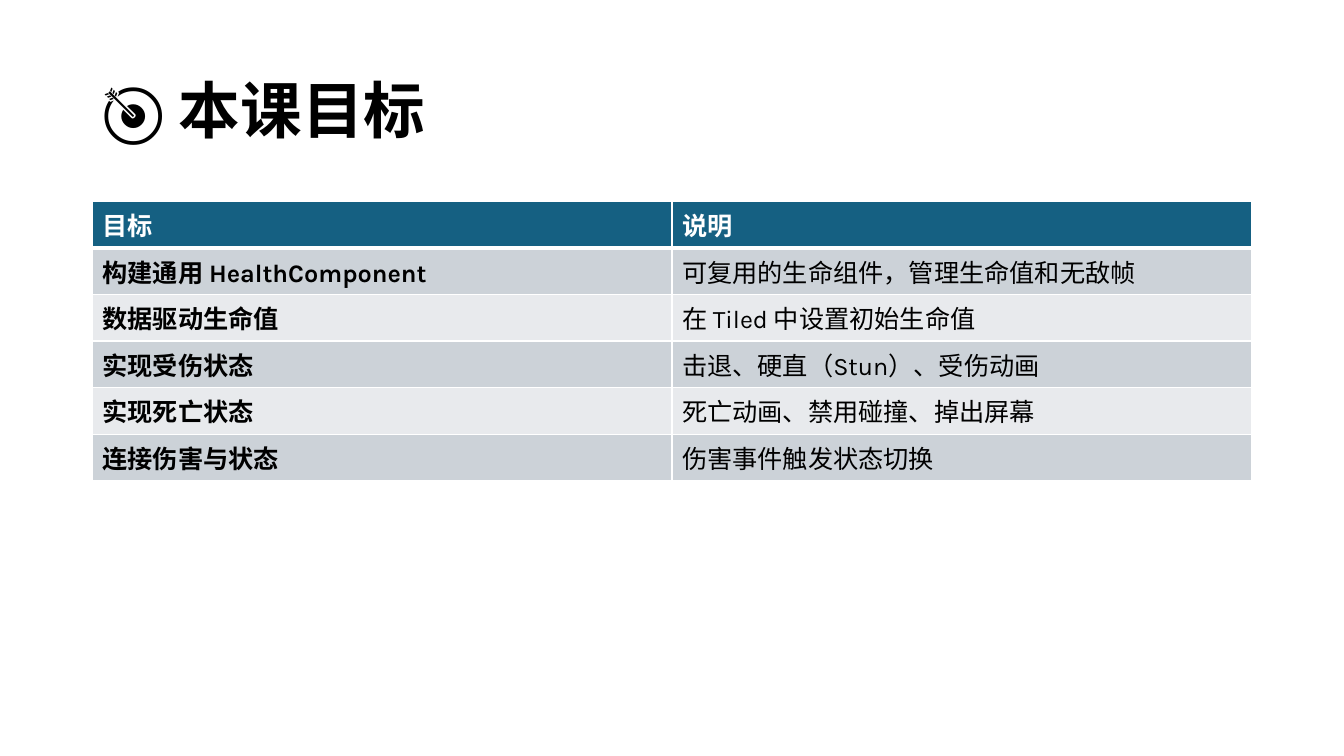
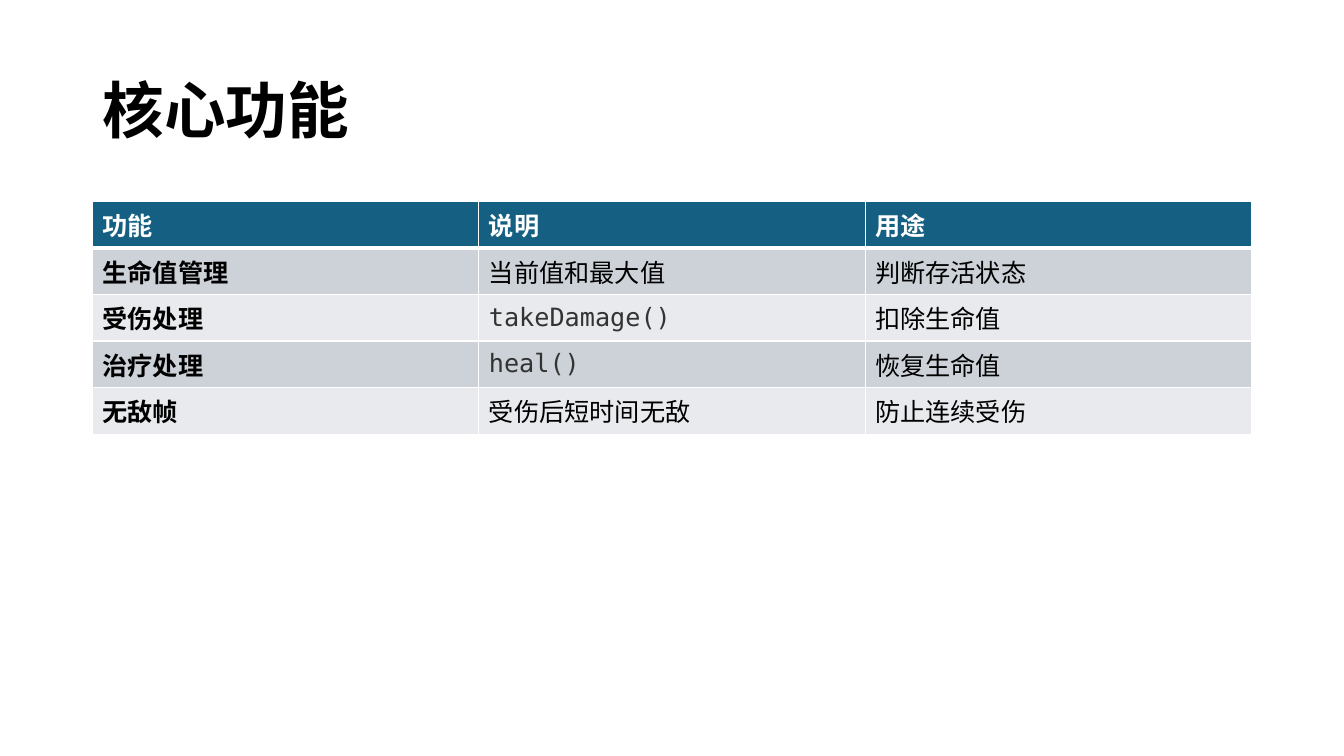
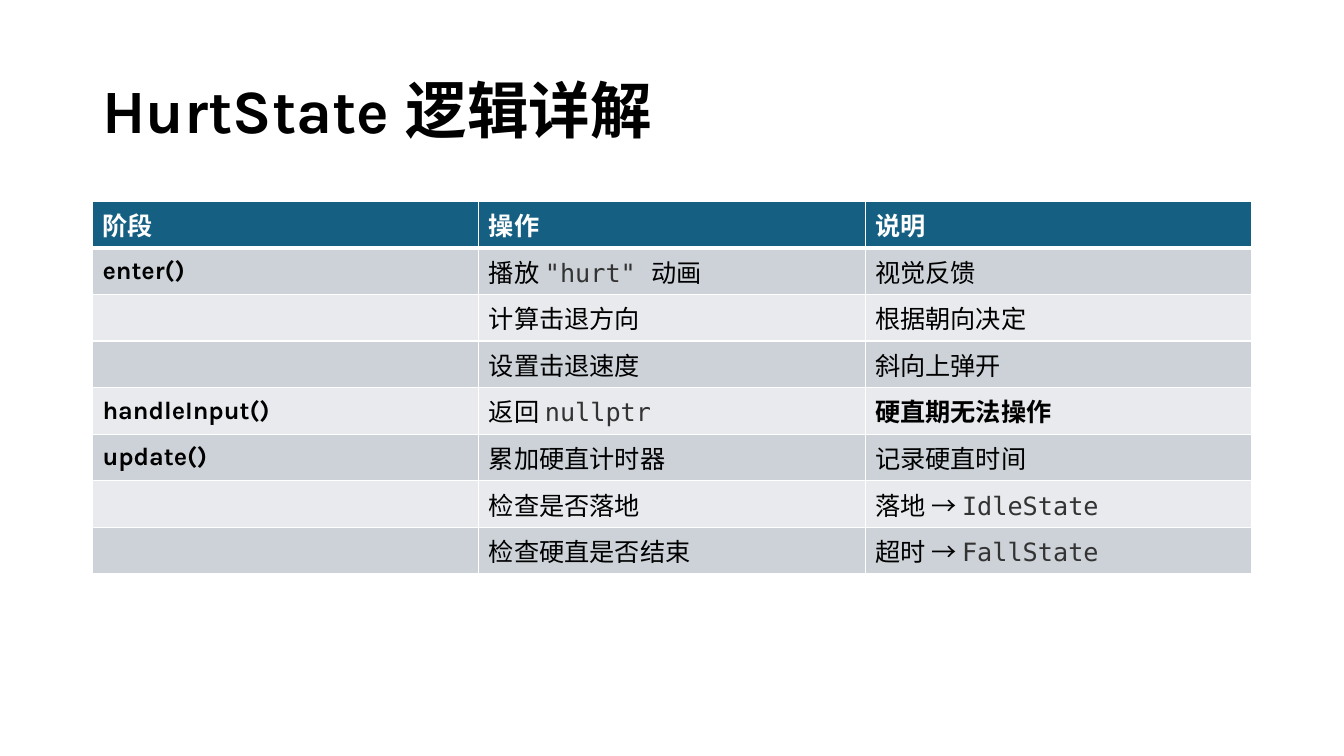
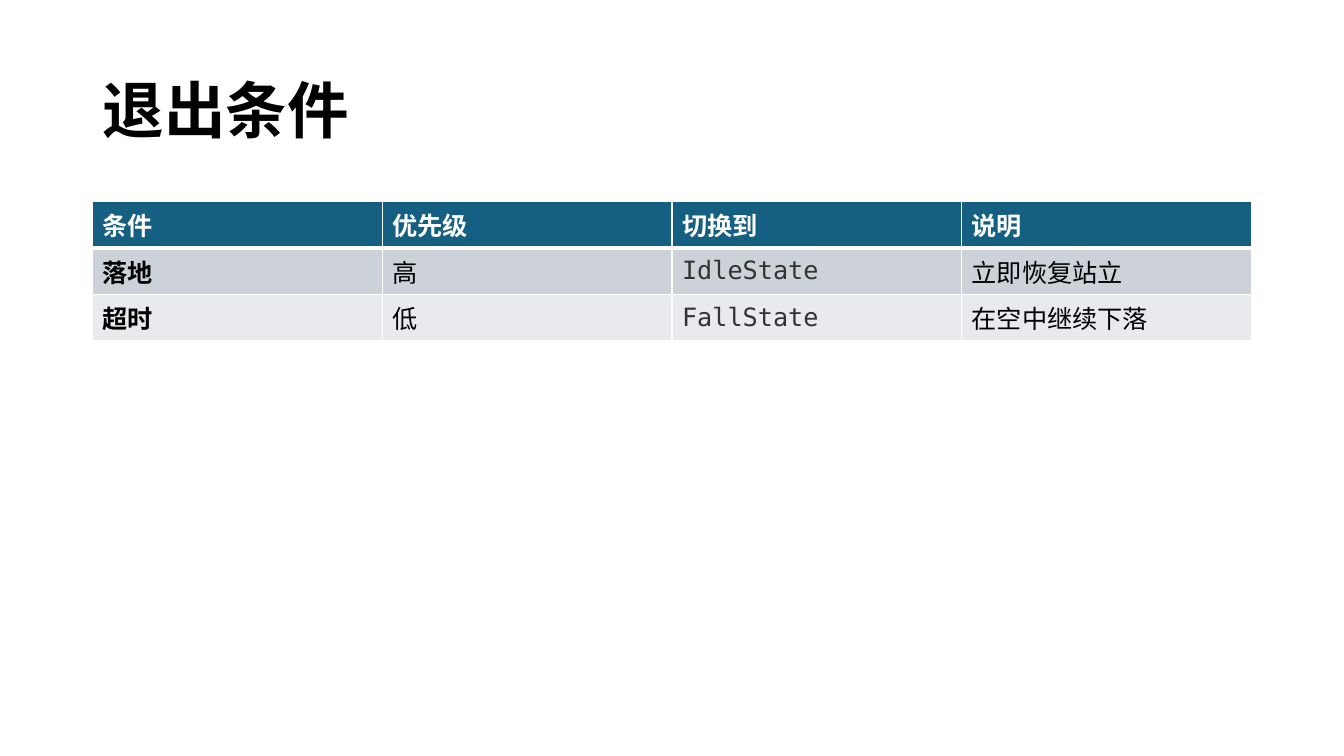
from lxml.etree import SubElement
from pptx import Presentation
from pptx.dml.color import RGBColor
from pptx.enum.lang import MSO_LANGUAGE_ID as Language
from pptx.enum.text import MSO_ANCHOR as Anchor, MSO_AUTO_SIZE as AutoSize, PP_ALIGN as Align
from pptx.oxml.ns import qn
from pptx.util import Cm, Pt

COLORS = {
    "header": "156082",
    "band_dark": "CCD2D8",
    "band_light": "E8EAED",
    "border": "FFFFFF",
    "header_text": "FFFFFF",
    "text": "000000",
    "code": "333333",
}
TEXT_FONT, CODE_FONT = "Karla", "DejaVu Sans Mono"
TITLE_SIZE, CELL_SIZE = 44, 18

LEFT, WIDTH = Cm(2.33), Cm(29.21)
TITLE_TOP, TITLE_HEIGHT = Cm(1.01), Cm(3.68)
TABLE_TOP, ROW_HEIGHT = Cm(5.07), Cm(1.03)

# Backticks enclose code; a leading asterisk makes a cell bold.
SLIDES = [
    ("🎯 本课目标", [
        ("目标", "说明"),
        ("构建通用 HealthComponent", "可复用的生命组件，管理生命值和无敌帧"),
        ("数据驱动生命值", "在 Tiled 中设置初始生命值"),
        ("实现受伤状态", "击退、硬直（Stun）、受伤动画"),
        ("实现死亡状态", "死亡动画、禁用碰撞、掉出屏幕"),
        ("连接伤害与状态", "伤害事件触发状态切换"),
    ]),
    ("核心功能", [
        ("功能", "说明", "用途"),
        ("生命值管理", "当前值和最大值", "判断存活状态"),
        ("受伤处理", "`takeDamage()`", "扣除生命值"),
        ("治疗处理", "`heal()`", "恢复生命值"),
        ("无敌帧", "受伤后短时间无敌", "防止连续受伤"),
    ]),
    ("HurtState 逻辑详解", [
        ("阶段", "操作", "说明"),
        ("enter()", "播放 `\"hurt\" `动画", "视觉反馈"),
        ("", "计算击退方向", "根据朝向决定"),
        ("", "设置击退速度", "斜向上弹开"),
        ("handleInput()", "返回 `nullptr`", "*硬直期无法操作"),
        ("update()", "累加硬直计时器", "记录硬直时间"),
        ("", "检查是否落地", "落地 → `IdleState`"),
        ("", "检查硬直是否结束", "超时 → `FallState`"),
    ]),
    ("退出条件", [
        ("条件", "优先级", "切换到", "说明"),
        ("落地", "高", "`IdleState`", "立即恢复站立"),
        ("超时", "低", "`FallState`", "在空中继续下落"),
    ]),
]


def format_span(span, size, color, bold, font=TEXT_FONT):
    span.font.name = font
    span.font.size = Pt(size)
    span.font.bold = bold
    span.font.color.rgb = RGBColor.from_string(COLORS[color])
    span.font.language_id = Language.SIMPLIFIED_CHINESE


def add_title(page, text):
    title = page.shapes.title
    title.left, title.top, title.width, title.height = LEFT, TITLE_TOP, WIDTH, TITLE_HEIGHT
    frame = title.text_frame
    frame.text = text
    frame.auto_size = AutoSize.NONE
    frame.vertical_anchor = Anchor.MIDDLE
    para = frame.paragraphs[0]
    para.alignment = Align.LEFT
    para.line_spacing = 0.9
    format_span(para.runs[0], TITLE_SIZE, "text", True)


def add_borders(cell, top, bottom):
    properties = cell._tc.get_or_add_tcPr()
    for side, points in (("L", 1), ("R", 1), ("T", top), ("B", bottom)):
        line = SubElement(properties, qn(f"a:ln{side}"), w=str(Pt(points)))
        fill = SubElement(line, qn("a:solidFill"))
        SubElement(fill, qn("a:srgbClr"), val=COLORS["border"])


def fill_cell(cell, text, row, column):
    header = row == 0
    add_borders(cell, top=3 if row == 1 else 1, bottom=3 if header else 1)
    band = "header" if header else "band_dark" if row % 2 else "band_light"
    cell.fill.solid()
    cell.fill.fore_color.rgb = RGBColor.from_string(COLORS[band])
    cell.vertical_anchor = Anchor.MIDDLE

    bold = header or column == 0 or text.startswith("*")
    para = cell.text_frame.paragraphs[0]
    for index, piece in enumerate(text.removeprefix("*").split("`")):
        if not piece:
            continue
        span = para.add_run()
        span.text = piece
        if index % 2:
            format_span(span, CELL_SIZE, "code", bold, CODE_FONT)
        else:
            format_span(span, CELL_SIZE, "header_text" if header else "text", bold)


def add_grid(page, rows):
    columns = len(rows[0])
    table = page.shapes.add_table(
        len(rows), columns, LEFT, TABLE_TOP, WIDTH, ROW_HEIGHT * len(rows)).table
    table.horz_banding = False
    for row, texts in enumerate(rows):
        for column, text in enumerate(texts):
            fill_cell(table.cell(row, column), text, row, column)


def main():
    deck = Presentation()
    deck.slide_width, deck.slide_height = Cm(33.87), Cm(19.05)
    title_only = deck.slide_layouts.get_by_name("Title Only")
    for title, rows in SLIDES:
        page = deck.slides.add_slide(title_only)
        add_title(page, title)
        add_grid(page, rows)
    deck.save("out.pptx")


if __name__ == "__main__":
    main()
